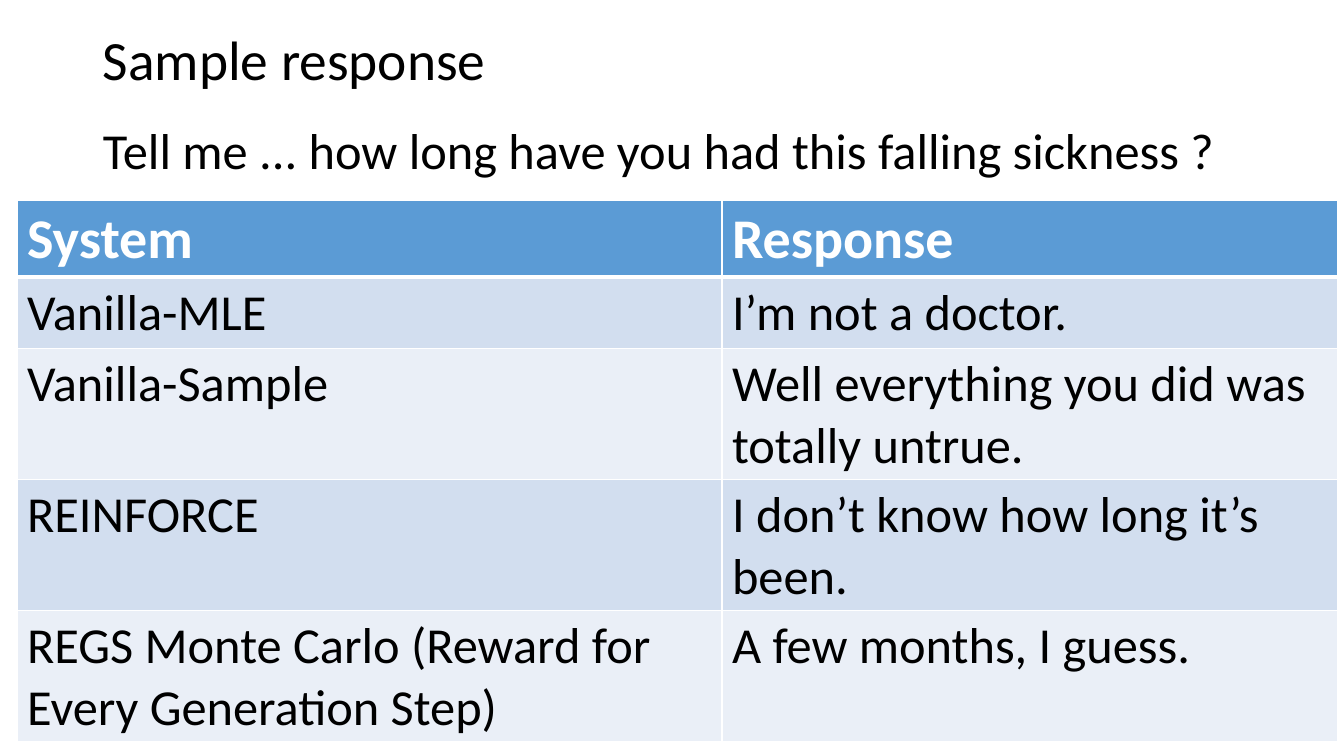
from lxml import etree
from pptx import Presentation
from pptx.dml.color import RGBColor
from pptx.enum.text import MSO_ANCHOR
from pptx.oxml.ns import qn
from pptx.util import Pt

TOP, MIDDLE = MSO_ANCHOR.TOP, MSO_ANCHOR.MIDDLE
BLACK = RGBColor(0x00, 0x00, 0x00)
WHITE = RGBColor(0xFF, 0xFF, 0xFF)
HEADER_BLUE = RGBColor(0x5B, 0x9B, 0xD5)
BANDS = [RGBColor(0xD2, 0xDE, 0xEF), RGBColor(0xEA, 0xEF, 0xF7)]

# text, (left, top, width, height), anchor, line spacing, size
HEADINGS = [
    ("Sample response", (93, 40, 1159, 45), MIDDLE, 0.9, 39.6),
    ("Tell me ... how long have you had this falling sickness ?",
     (93, 114, 1150, 102), TOP, 1.0, 36),
]
RESPONSES = [
    ("System", "Response"),
    ("Vanilla-MLE", "I’m not a doctor."),
    ("Vanilla-Sample", "Well everything you did was totally untrue."),
    ("REINFORCE", "I don’t know how long it’s been."),
    ("REGS Monte Carlo (Reward for Every Generation Step)", "A few months, I guess."),
]
TABLE_LEFT, TABLE_TOP = 17, 200
COLUMN_WIDTHS = [705, 616]
ROW_HEIGHTS = [77, 71, 131, 131, 131]
HEADER_FONT = {"name": "Calibri", "size": Pt(40), "bold": True}
BODY_FONT = {"name": "Calibri", "size": Pt(36), "bold": False}

SLIDE_WIDTH, SLIDE_HEIGHT = 1344, 756
EMU_PER_PX = 12192000 / SLIDE_WIDTH


def px(length):
    return round(length * EMU_PER_PX)


def style_font(font, settings, color):
    for name, value in settings.items():
        setattr(font, name, value)
    font.color.rgb = color


def add_borders(cell, widths):
    """Put white borders on a cell; widths maps a side's tag to points."""
    properties = cell._tc.get_or_add_tcPr()
    for position, (side, width) in enumerate(widths.items()):
        line = etree.Element(qn(f"a:{side}"), w=str(Pt(width)))
        fill = etree.SubElement(line, qn("a:solidFill"))
        etree.SubElement(fill, qn("a:srgbClr"), val=str(WHITE))
        properties.insert(position, line)


def add_heading(slide, text, box, anchor, spacing, size):
    frame = slide.shapes.add_textbox(*map(px, box)).text_frame
    frame.word_wrap = True
    frame.vertical_anchor = anchor
    paragraph = frame.paragraphs[0]
    paragraph.text = text
    paragraph.line_spacing = spacing
    style_font(paragraph.runs[0].font, {"name": "Calibri", "size": Pt(size)}, BLACK)


def add_responses(slide):
    table = slide.shapes.add_table(
        len(RESPONSES), len(COLUMN_WIDTHS), px(TABLE_LEFT), px(TABLE_TOP),
        px(sum(COLUMN_WIDTHS)), px(sum(ROW_HEIGHTS))).table
    for column, width in zip(table.columns, COLUMN_WIDTHS):
        column.width = px(width)
    for r, (row, height) in enumerate(zip(table.rows, ROW_HEIGHTS)):
        row.height = px(height)
        is_header = r == 0
        for cell, text in zip(row.cells, RESPONSES[r]):
            cell.text = text
            style_font(cell.text_frame.paragraphs[0].runs[0].font,
                       HEADER_FONT if is_header else BODY_FONT,
                       WHITE if is_header else BLACK)
            cell.fill.solid()
            cell.fill.fore_color.rgb = HEADER_BLUE if is_header else BANDS[(r - 1) % 2]
            add_borders(cell, {"lnL": 1, "lnR": 1, "lnT": 3 if r == 1 else 1,
                               "lnB": 3 if is_header else 1})


def main():
    presentation = Presentation()
    presentation.slide_width = px(SLIDE_WIDTH)
    presentation.slide_height = px(SLIDE_HEIGHT)
    slide = presentation.slides.add_slide(presentation.slide_layouts[6])
    for heading in HEADINGS:
        add_heading(slide, *heading)
    add_responses(slide)
    presentation.save("out.pptx")


if __name__ == "__main__":
    main()
